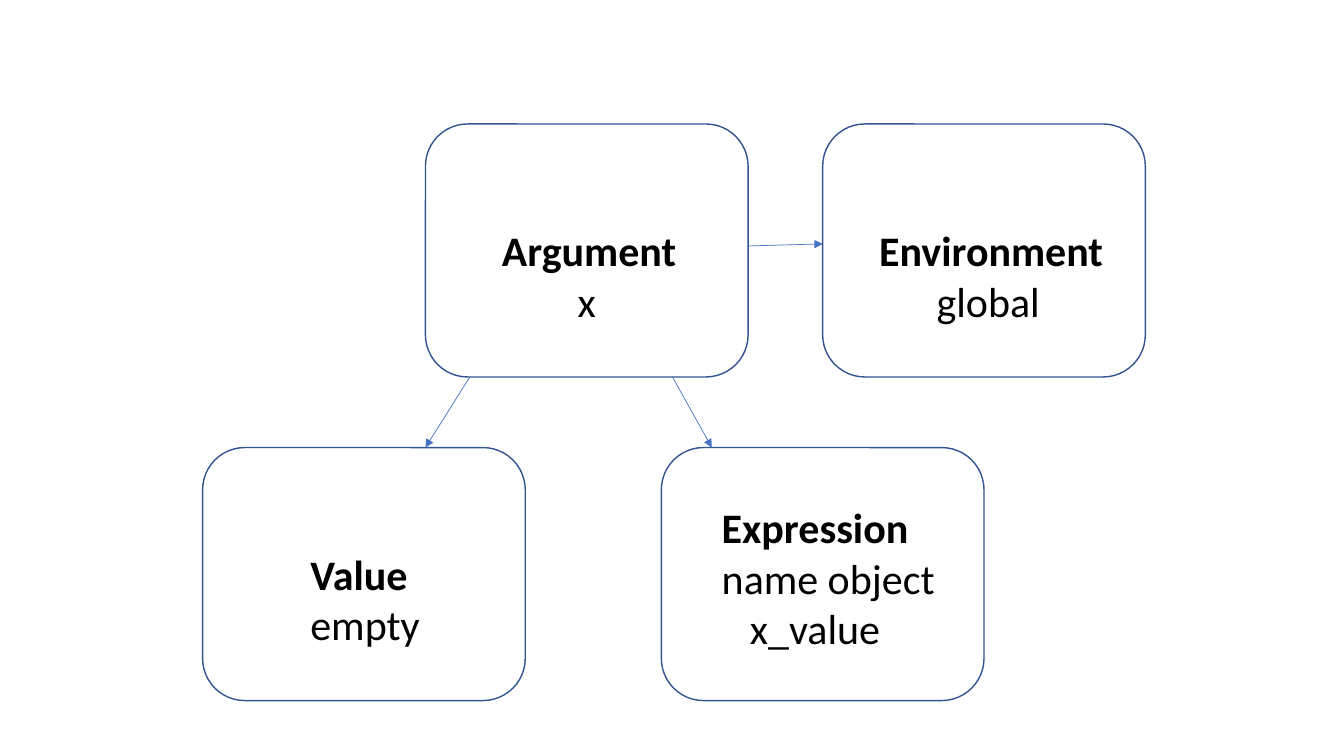
"""Build a slide showing an argument with its value, expression and environment."""
from lxml.etree import SubElement
from pptx import Presentation
from pptx.dml.color import RGBColor
from pptx.enum.shapes import MSO_CONNECTOR, MSO_SHAPE
from pptx.enum.text import MSO_AUTO_SIZE
from pptx.oxml.ns import qn
from pptx.util import Inches, Pt

COLORS = {"border": "325491", "arrow": "4472C4", "text": "000000"}
CARD_W, CARD_H = 3.2, 2.51
LABEL_W, LINE_H, LABEL_PAD = 3.58, 0.51, 0.1
TOP, BOTTOM = 1.23, 4.44

# left, top, label offset in x and y, then (line, indent) pairs
CARDS = [
    (4.22, TOP, 0.66, 0.95, [("Argument", 0), ("x", 0.75)]),
    (2.01, BOTTOM, 0.97, 0.95, [("Value", 0), ("empty", 0)]),
    (6.56, BOTTOM, 0.5, 0.49,
     [("Expression", 0), ("name object", 0), ("x_value", 0.28)]),
    (8.16, TOP, 0.46, 0.95, [("Environment", 0), ("global", 0.57)]),
]
ARROWS = [
    (4.66, TOP + CARD_H, 4.22, BOTTOM),
    (6.67, TOP + CARD_H, 7.06, BOTTOM),
    (7.43, 2.44, 8.16, 2.42),
]


def rgb(name):
    """Return the named colour."""
    return RGBColor.from_string(COLORS[name])


def add_line(p, text, size=30, bold=False, indent=0, font="Calibri", color="text"):
    """Write formatted text into a paragraph."""
    p._p.get_or_add_pPr().set("marL", str(Inches(indent)))
    r = p.add_run()
    r.text = text
    r.font.size, r.font.bold, r.font.name = Pt(size), bold, font
    r.font.color.rgb = rgb(color)


def add_card(slide, left, top, dx, dy, lines):
    """Draw a rounded card with a bold heading and the lines below it."""
    sp = slide.shapes.add_shape(MSO_SHAPE.ROUNDED_RECTANGLE, Inches(left),
                                Inches(top), Inches(CARD_W), Inches(CARD_H))
    sp.shadow.inherit = False
    sp.fill.background()
    sp.line.color.rgb = rgb("border")
    sp.line.width = Pt(1)

    label = slide.shapes.add_textbox(
        Inches(left + dx), Inches(top + dy), Inches(LABEL_W),
        Inches(LABEL_PAD + LINE_H * len(lines)))
    tf = label.text_frame
    tf.word_wrap = True
    tf.auto_size = MSO_AUTO_SIZE.SHAPE_TO_FIT_TEXT
    for i, (text, indent) in enumerate(lines):
        p = tf.add_paragraph() if i else tf.paragraphs[0]
        add_line(p, text, bold=i == 0, indent=indent)


def add_arrow(slide, x1, y1, x2, y2):
    """Draw a thin arrow from the first point to the second."""
    line = slide.shapes.add_connector(MSO_CONNECTOR.STRAIGHT, Inches(x1),
                                      Inches(y1), Inches(x2), Inches(y2))
    line.line.color.rgb = rgb("arrow")
    line.line.width = Pt(0.5)
    SubElement(line.line._get_or_add_ln(), qn("a:tailEnd"), type="triangle")
    SubElement(line._element.spPr, qn("a:effectLst"))


def main():
    """Build and save the presentation."""
    prs = Presentation()
    prs.slide_width, prs.slide_height = Inches(13.33), Inches(7.5)
    slide = prs.slides.add_slide(prs.slide_layouts[6])
    for card in CARDS:
        add_card(slide, *card)
    for arrow in ARROWS:
        add_arrow(slide, *arrow)
    prs.save("out.pptx")


main()
